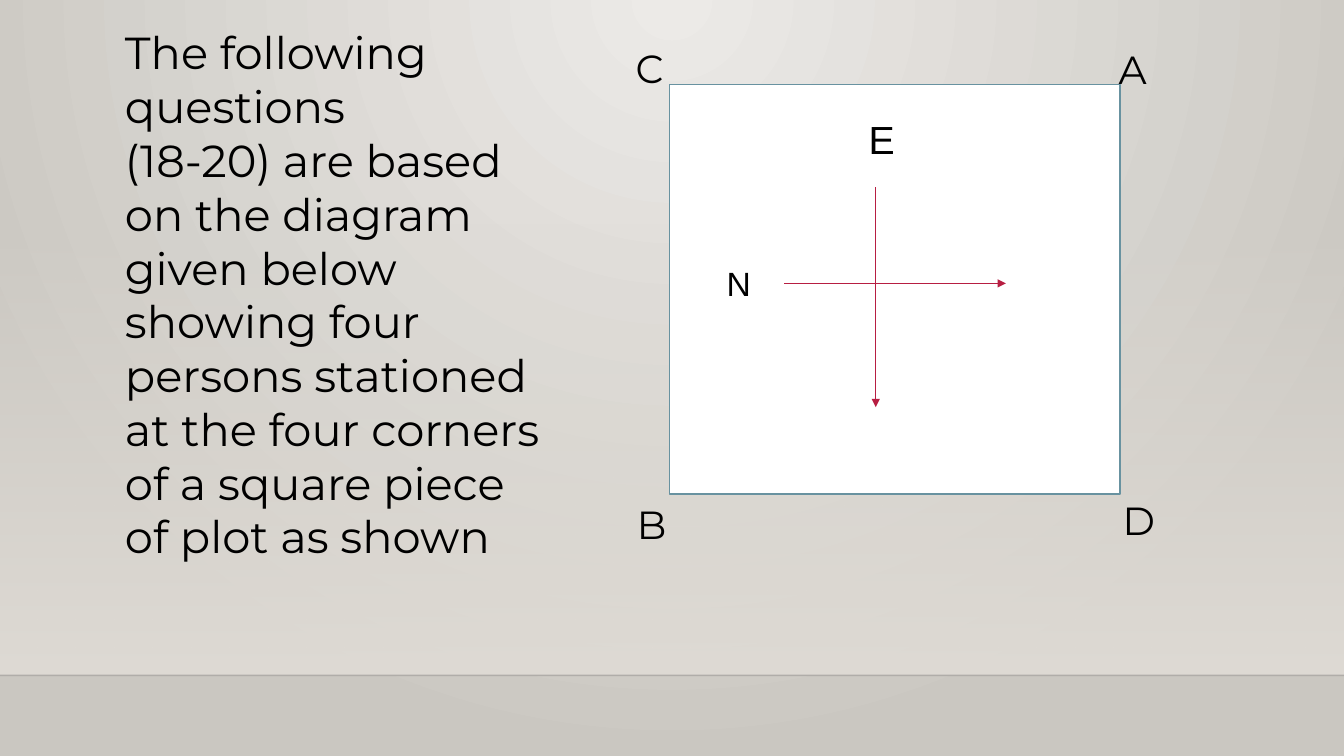
from dataclasses import dataclass

from lxml import etree
from pptx import Presentation, util as u
from pptx.dml.color import RGBColor
from pptx.dml.fill import FillFormat
from pptx.enum import shapes, text
from pptx.oxml.ns import qn
from pptx.shapes.autoshape import Shape
from pptx.shapes.connector import Connector
from pptx.slide import Slide


@dataclass
class Label:
    text: str
    left: float
    top: float
    width: float
    height: float = 1.45
    size: float = 28
    font: str = "Montserrat"


@dataclass
class Line:
    start: tuple[float, float]
    end: tuple[float, float]
    color: str = "B71E42"
    width: float = 0.75


INTRO = Label(
    "The following questions\n"
    "(18-20) are based on the diagram given below showing four persons "
    "stationed at the four corners of a square piece of plot as shown",
    2.9, 0.51, 11, 15.29, 32,
)
DIRECTIONS = [
    Label("E", 21.64, 2.79, 1.83, font="Arial"),
    Label("N", 18.06, 6.5, 1.73, 1.27, 24, "Arial"),
]
CORNERS = [
    Label("A", 27.94, 1.02, 1.96),
    Label("D", 28.04, 12.37, 2.39),
    Label("B", 15.8, 12.47, 2.06),
    Label("C", 15.77, 0.99, 1.96),
]
ARROWS = [
    Line((22.07, 4.72), (22.07, 10.26)),
    Line((19.76, 7.14), (25.35, 7.14)),
]
HORIZON = Line((0, 17.02), (33.87, 17.02), "000001", 1)


def rgb(color: str) -> RGBColor:
    return RGBColor.from_string(color)


def set_gradient(fill: FillFormat, first: str, last: str) -> None:
    fill.gradient()
    fill.gradient_angle = 270
    for stop, color, position in zip(fill.gradient_stops, (first, last), (0, 1)):
        stop.color.rgb = rgb(color)
        stop.position = position


def set_first_alpha(element: etree._Element, percent: int) -> None:
    color = next(element.iter(qn("a:srgbClr")))
    etree.SubElement(color, qn("a:alpha"), val=str(percent * 1000))


def paint_background(slide: Slide) -> None:
    set_gradient(slide.background.fill, "ECEAE7", "CAC7C1")
    linear = next(slide.element.iter(qn("a:lin")))
    radial = etree.Element(qn("a:path"), {"path": "circle"})
    etree.SubElement(radial, qn("a:fillToRect"), l="43000", t="0", r="43000", b="100000")
    linear.getparent().replace(linear, radial)


def add_panel(slide: Slide, kind: shapes.MSO_SHAPE, left: float, top: float,
              width: float, height: float) -> Shape:
    panel = slide.shapes.add_shape(kind, u.Cm(left), u.Cm(top), u.Cm(width), u.Cm(height))
    panel.shadow.inherit = False
    return panel


def add_line(slide: Slide, line: Line) -> Connector:
    connector = slide.shapes.add_connector(
        shapes.MSO_CONNECTOR.STRAIGHT, *map(u.Cm, line.start + line.end))
    connector.line.color.rgb = rgb(line.color)
    connector.line.width = u.Pt(line.width)
    etree.SubElement(connector.element.spPr, qn("a:effectLst"))
    return connector


def add_arrow(slide: Slide, line: Line) -> None:
    connector = add_line(slide, line)
    outline = connector.element.spPr.find(qn("a:ln"))
    etree.SubElement(outline, qn("a:tailEnd"), type="triangle")


def add_label(slide: Slide, label: Label) -> None:
    box = slide.shapes.add_textbox(
        u.Cm(label.left), u.Cm(label.top), u.Cm(label.width), u.Cm(label.height))
    frame = box.text_frame
    frame.word_wrap = True
    frame.auto_size = text.MSO_AUTO_SIZE.SHAPE_TO_FIT_TEXT
    frame.text = label.text
    for para in frame.paragraphs:
        for span in para.runs:
            span.font.name = label.font
            span.font.size = u.Pt(label.size)
            span.font.color.rgb = rgb("000000")


def main() -> None:
    deck = Presentation()
    deck.slide_width, deck.slide_height = u.Cm(33.87), u.Cm(19.05)
    slide = deck.slides.add_slide(deck.slide_layouts.get_by_name("Blank"))
    paint_background(slide)

    wall = add_panel(slide, shapes.MSO_SHAPE.RECTANGLE, 0, 5.61, 33.87, 11.41)
    set_gradient(wall.fill, "DFDBD5", "DFDBD5")
    set_first_alpha(wall.element.spPr, 0)
    wall.line.fill.background()
    horizon = add_line(slide, HORIZON)
    set_first_alpha(horizon.element.spPr, 20)

    add_label(slide, INTRO)
    plot = add_panel(slide, shapes.MSO_SHAPE.FLOWCHART_PROCESS, 16.87, 2.13, 11.35, 10.31)
    plot.fill.solid()
    plot.fill.fore_color.rgb = rgb("FFFFFF")
    plot.line.color.rgb = rgb("6892A0")
    plot.line.width = u.Pt(1.25)
    for arrow in ARROWS:
        add_arrow(slide, arrow)
    for label in DIRECTIONS + CORNERS:
        add_label(slide, label)
    deck.save("out.pptx")


if __name__ == "__main__":
    main()
